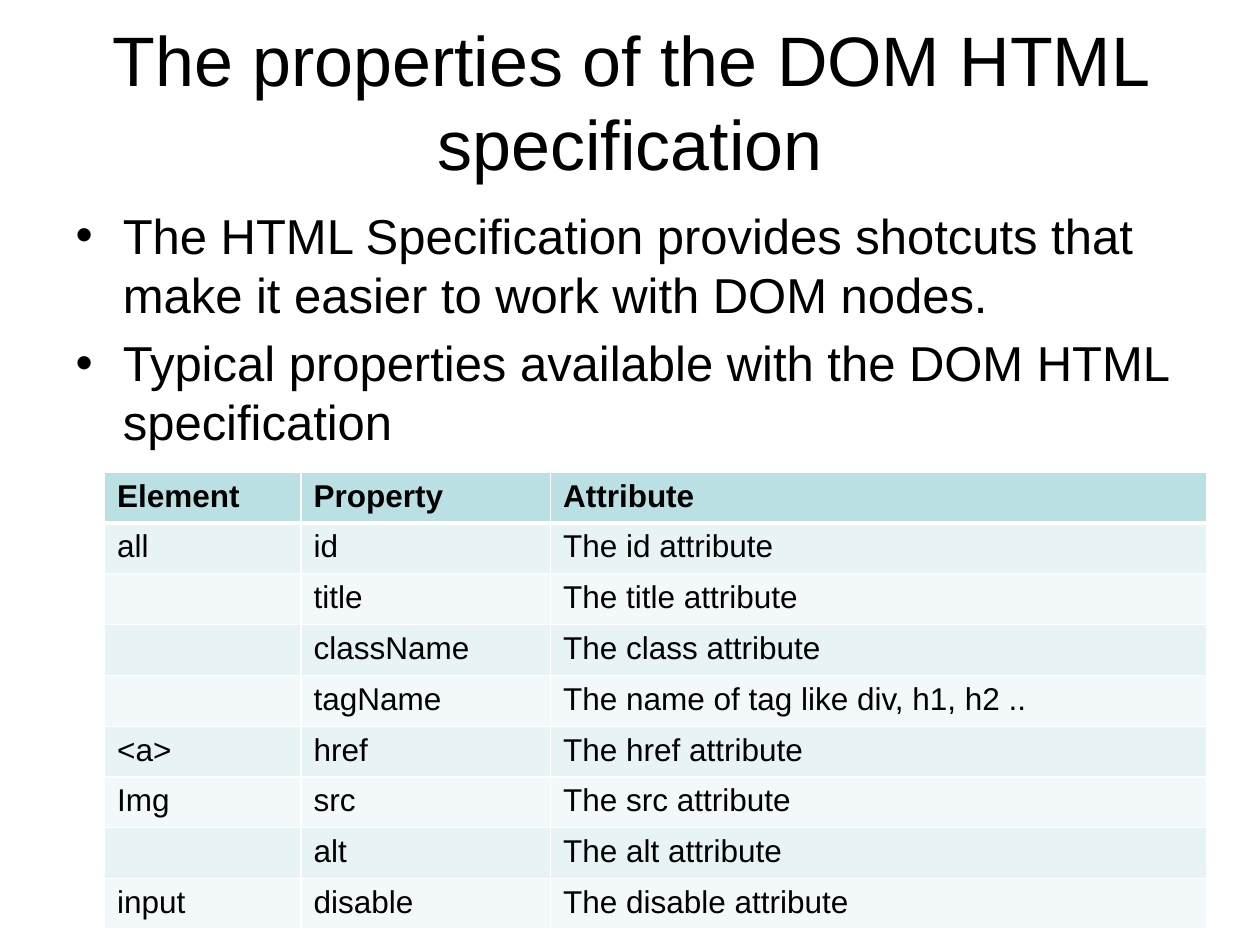
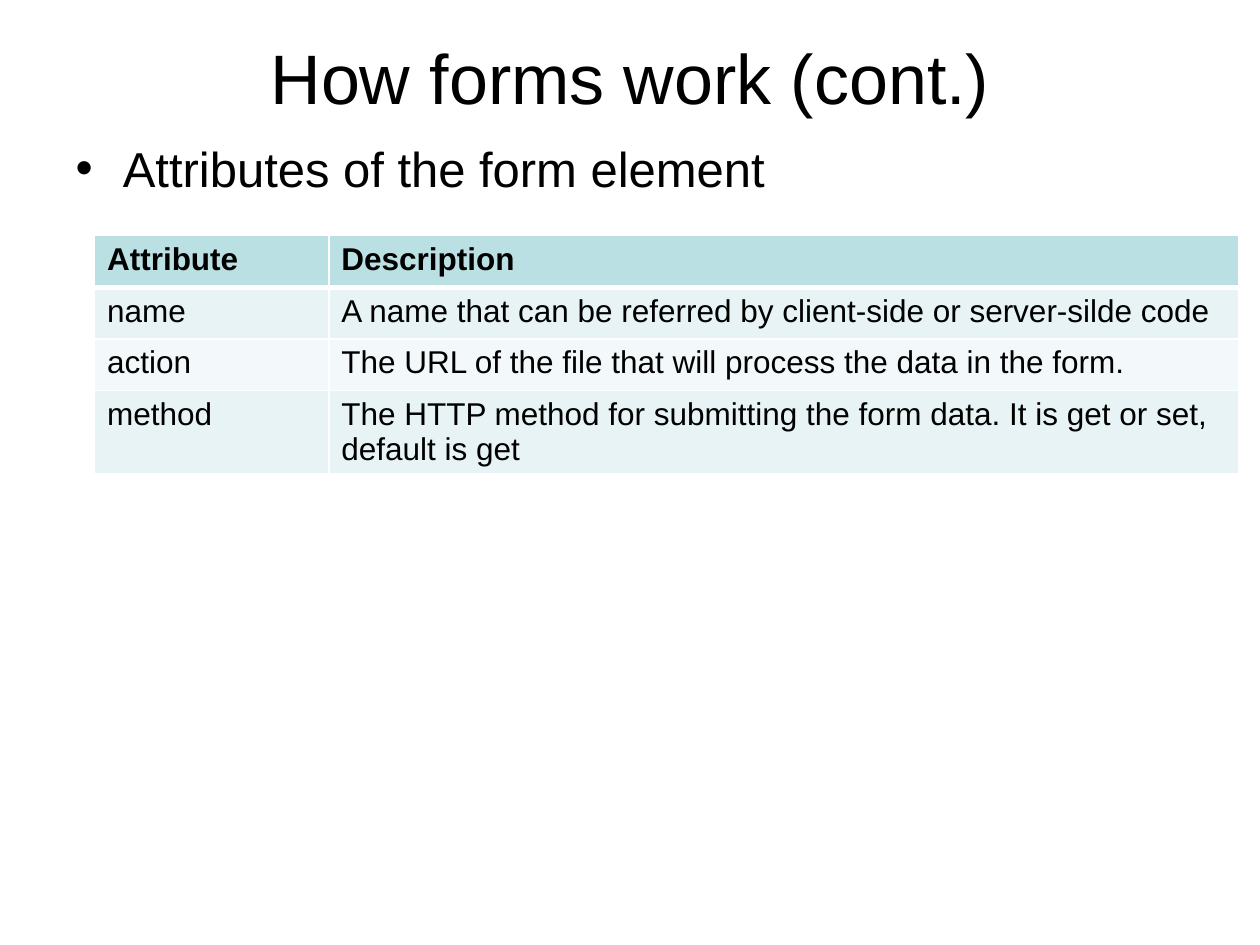
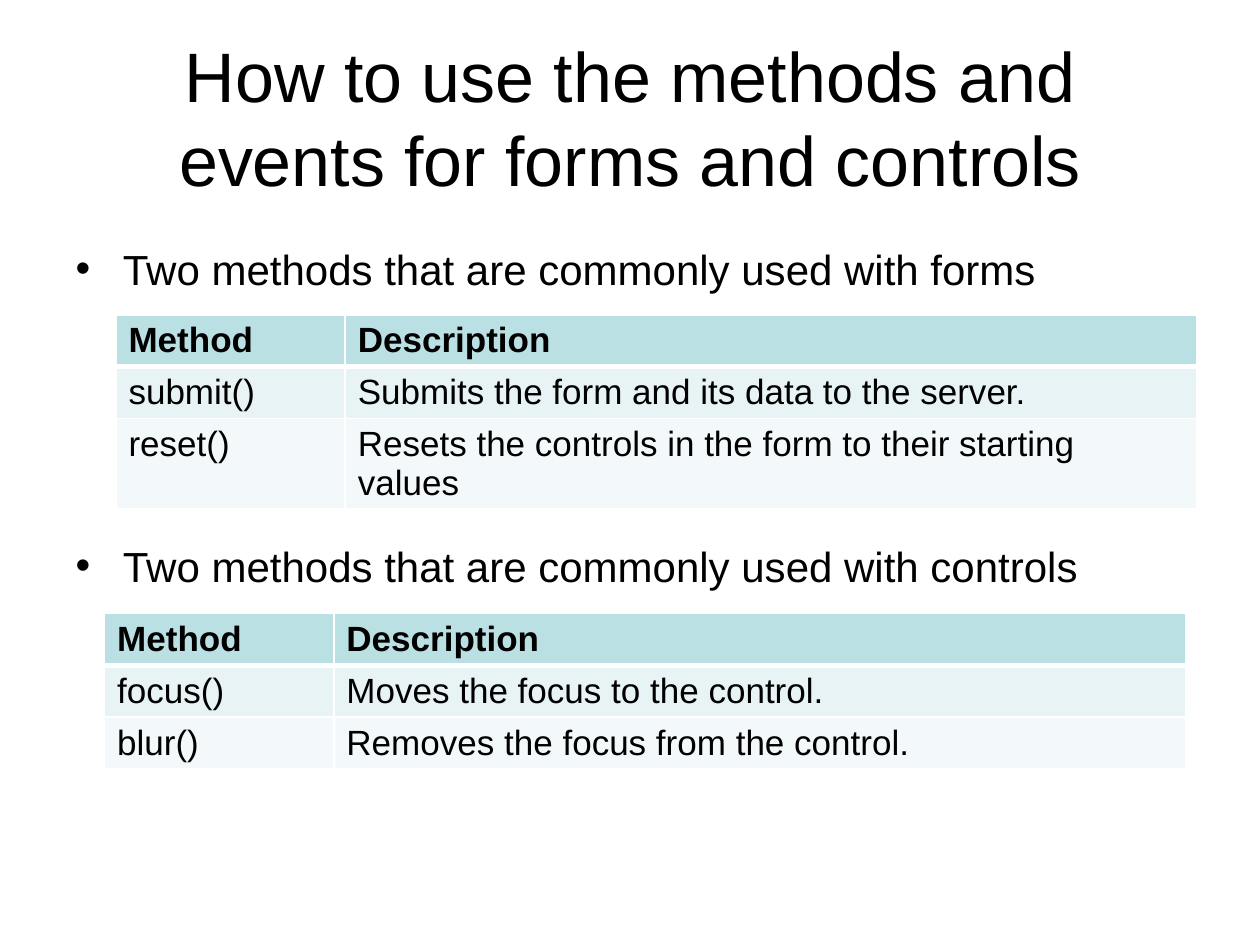
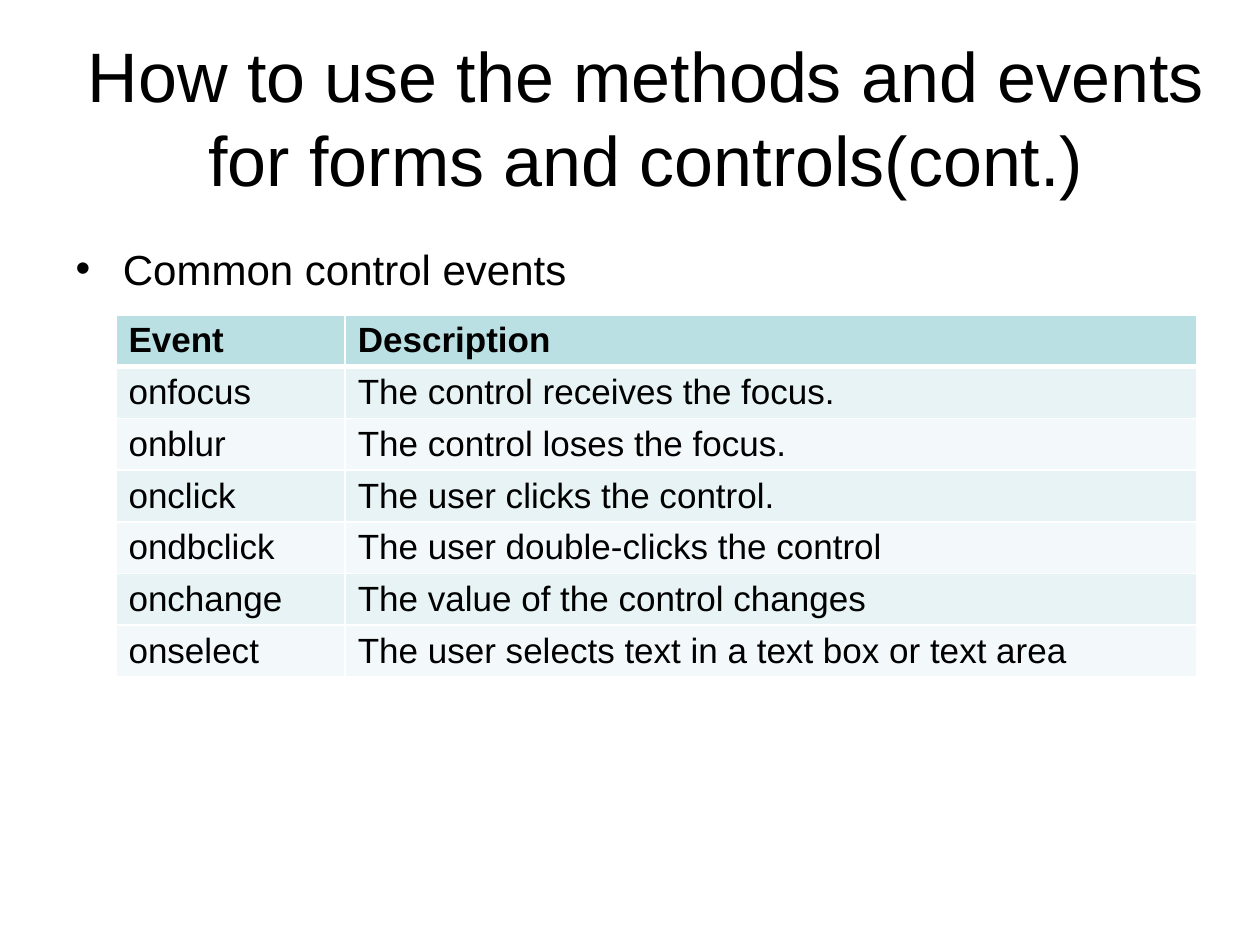
"""Build four slides on DOM properties, forms and control events."""
from pptx import Presentation
from pptx.dml.color import RGBColor
from pptx.enum.text import MSO_ANCHOR, MSO_AUTO_SIZE, PP_ALIGN
from pptx.oxml.ns import qn
from pptx.util import Inches, Pt
from lxml import etree

CENTER, LEFT = PP_ALIGN.CENTER, PP_ALIGN.LEFT
MIDDLE, TOP = MSO_ANCHOR.MIDDLE, MSO_ANCHOR.TOP
NO_FIT = MSO_AUTO_SIZE.NONE

FONT, INK, RULE = "Arial", "000000", "FFFFFF"
HEAD, BANDS = "BBE0E3", ("E7F3F4", "F3F9FA")
TITLE_SIZE = 40
TITLE_H, BODY_H, ROW_H = 1.25, 4.95, 0.41
LEFT_EDGE, WIDTH, WIDE = 0.5, 9, 9.25
METHOD_COLS = (1.82, 6.76)

SLIDES = [
    {
        "title": "The properties of the DOM HTML specification",
        "title_at": (LEFT_EDGE, 0.17, WIDTH, TITLE_H),
        "bullets": [
            ("The HTML Specification provides shotcuts that make it easier to work with DOM nodes.", None),
            ("Typical properties available with the DOM HTML specification", None),
        ],
        "body_at": (LEFT_EDGE, 1.58, WIDTH, BODY_H),
        "body_size": 28,
        "tables": [{
            "at": (0.83, 3.75), "cols": (1.56, 1.98, 5.21), "size": 18, "row_h": 0.4,
            "rows": [
                ("Element", "Property", "Attribute"),
                ("all", "id", "The id attribute"),
                ("", "title", "The title attribute"),
                ("", "className", "The class attribute"),
                ("", "tagName", "The name of tag like div, h1, h2 .."),
                ("<a>", "href", "The href attribute"),
                ("Img", "src", "The src attribute"),
                ("", "alt", "The alt attribute"),
                ("input", "disable", "The disable attribute"),
            ],
        }],
    },
    {
        "title": "How forms work (cont.)",
        "title_at": (LEFT_EDGE, 0.17, WIDTH, 0.87),
        "bullets": [("Attributes of the form element", None)],
        "body_at": (LEFT_EDGE, 1.05, WIDTH, BODY_H),
        "body_size": 28,
        "tables": [{
            "at": (0.75, 1.87), "cols": (1.86, 7.22), "size": 18,
            "rows": [
                ("Attribute", "Description"),
                ("name", "A name that can be referred by client-side or server-silde code"),
                ("action", "The URL of the file that will process the data in the form."),
                ("method", "The HTTP method for submitting the form data. It is get or set, default is get"),
            ],
        }],
    },
    {
        "title": "How to use the methods and events for forms and controls",
        "title_at": (LEFT_EDGE, 0.3, WIDTH, TITLE_H),
        "bullets": [
            ("Two methods that are commonly used with forms", None),
            ("Two methods that are commonly used with controls", 141),
        ],
        "body_at": (LEFT_EDGE, 1.88, WIDE, BODY_H),
        "body_size": 24,
        "tables": [
            {
                "at": (0.92, 2.5), "cols": METHOD_COLS, "size": 20,
                "rows": [
                    ("Method", "Description"),
                    ("submit()", "Submits the form and its data to the server."),
                    ("reset()", "Resets the controls in the form to their starting values"),
                ],
            },
            {
                "at": (0.83, 4.87), "cols": METHOD_COLS, "size": 20,
                "rows": [
                    ("Method", "Description"),
                    ("focus()", "Moves the focus to the control."),
                    ("blur()", "Removes the focus from the control."),
                ],
            },
        ],
    },
    {
        "title": "How to use the methods and events for forms and controls(cont.)",
        "title_at": (LEFT_EDGE, 0.3, WIDE, TITLE_H),
        "bullets": [("Common control events", None)],
        "body_at": (LEFT_EDGE, 1.88, WIDE, BODY_H),
        "body_size": 24,
        "tables": [{
            "at": (0.92, 2.5), "cols": METHOD_COLS, "size": 20,
            "rows": [
                ("Event", "Description"),
                ("onfocus", "The control receives the focus."),
                ("onblur", "The control loses the focus."),
                ("onclick", "The user clicks the control."),
                ("ondbclick", "The user double-clicks the control"),
                ("onchange", "The value of the control changes"),
                ("onselect", "The user selects text in a text box or text area"),
            ],
        }],
    },
]


def rgb(value):
    return RGBColor.from_string(value)


def write(p, text, size, bold=False, align=LEFT, before=None):
    p.alignment = align
    if before is not None:
        p.space_before = Pt(before)
    r = p.add_run()
    r.text = text
    r.font.name, r.font.size, r.font.bold = FONT, Pt(size), bold
    r.font.color.rgb = rgb(INK)


def place(sp, box, anchor):
    sp.left, sp.top, sp.width, sp.height = map(Inches, box)
    tf = sp.text_frame
    tf.auto_size, tf.vertical_anchor, tf.word_wrap = NO_FIT, anchor, True
    return tf


def border(cell, **widths):
    tc_pr = cell._tc.get_or_add_tcPr()
    for side in "LRTB":
        ln = etree.SubElement(tc_pr, qn("a:ln" + side), w=str(Pt(widths.get(side, 1))))
        fill = etree.SubElement(ln, qn("a:solidFill"))
        etree.SubElement(fill, qn("a:srgbClr"), val=RULE)


def add_grid(slide, at, cols, size, rows, row_h=ROW_H):
    box = (*at, sum(cols), row_h * len(rows))
    table = slide.shapes.add_table(len(rows), len(cols), *map(Inches, box)).table
    table.horz_banding = False
    for column, width in zip(table.columns, cols):
        column.width = Inches(width)
    for i, values in enumerate(rows):
        table.rows[i].height = Inches(row_h)
        for cell, text in zip(table.rows[i].cells, values):
            border(cell, T=3 if i == 1 else 1, B=3 if i == 0 else 1)
            cell.fill.solid()
            cell.fill.fore_color.rgb = rgb(BANDS[(i - 1) % 2] if i else HEAD)
            if text:
                write(cell.text_frame.paragraphs[0], text, size, bold=i == 0)


def add_slide(prs, data):
    slide = prs.slides.add_slide(prs.slide_layouts[1])
    tf = place(slide.shapes.title, data["title_at"], MIDDLE)
    write(tf.paragraphs[0], data["title"], TITLE_SIZE, align=CENTER)
    tf = place(slide.placeholders[1], data["body_at"], TOP)
    for i, (text, before) in enumerate(data["bullets"]):
        p = tf.add_paragraph() if i else tf.paragraphs[0]
        write(p, text, data["body_size"], before=before)
    for table in data["tables"]:
        add_grid(slide, **table)


def main():
    prs = Presentation()
    prs.slide_width, prs.slide_height = Inches(10), Inches(7.5)
    for data in SLIDES:
        add_slide(prs, data)
    prs.save("out.pptx")


if __name__ == "__main__":
    main()
